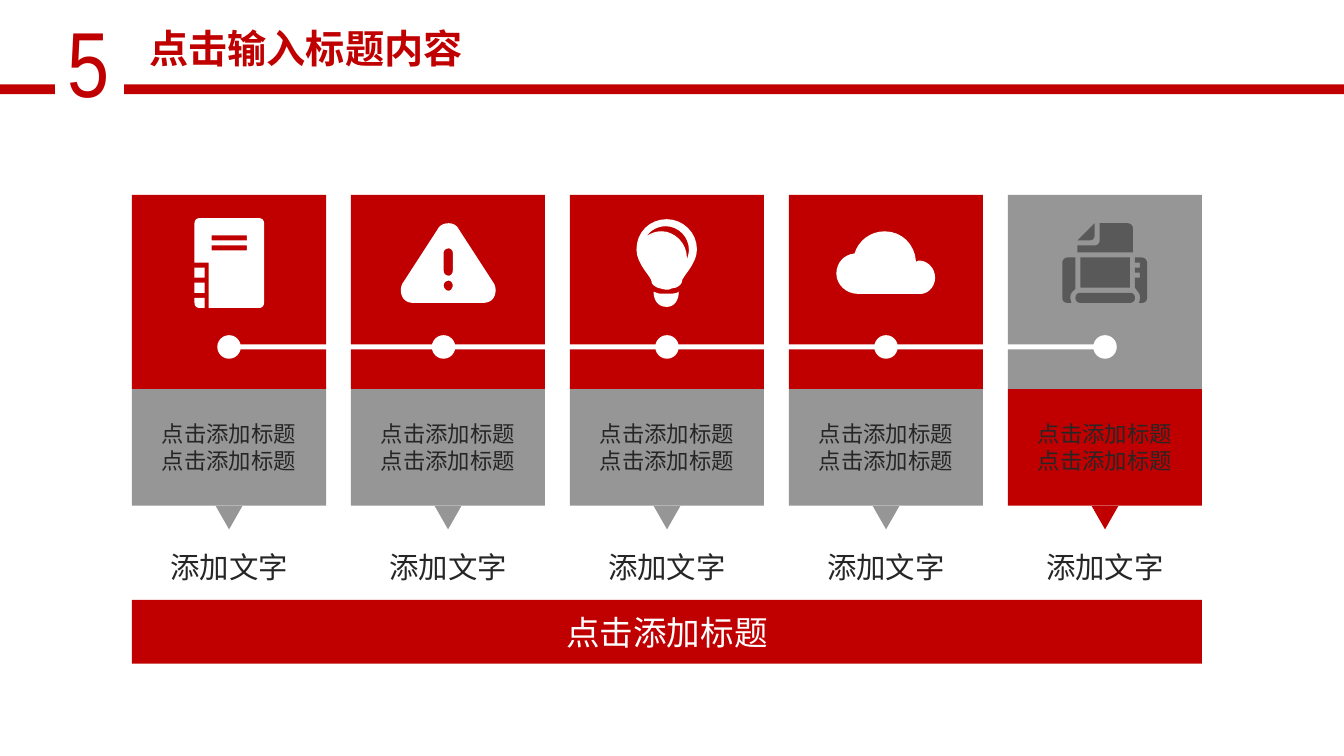
import pptx
import pptx.dml.color
import pptx.enum.shapes
import pptx.enum.text
import pptx.util

Pt = pptx.util.Pt
Shape = pptx.enum.shapes.MSO_SHAPE
Align = pptx.enum.text.PP_ALIGN
Anchor = pptx.enum.text.MSO_ANCHOR

RED = pptx.dml.color.RGBColor(0xC0, 0x00, 0x00)
GRAY = pptx.dml.color.RGBColor(0x96, 0x96, 0x96)
DARK_GRAY = pptx.dml.color.RGBColor(0x59, 0x59, 0x59)
INK = pptx.dml.color.RGBColor(0x26, 0x26, 0x26)
WHITE = pptx.dml.color.RGBColor(0xFF, 0xFF, 0xFF)
CHINESE_FONT = "Noto Sans CJK SC"

CARD_LEFT, CARD_TOP, CARD_SIZE, CARD_PITCH = 94.3, 139.3, 138.6, 156.42
CAPTION_HEIGHT = 83.4
CARD_COUNT = 5
DOT_SIZE = 16.8

# Icon outlines on a grid of 0.72 pt from the card corner. Contours are split
# by "|", steps by ","; two numbers make a line, six a Bezier curve.
GRID = 0.72
BOOK = (
    "67 23, 126 23, 129 23 131 25 131 28, 131 107, 131 110 129 112 126 112,"
    "76 112, 76 67, 62 67, 62 28, 62 25 64 23 67 23"
    "| 79 40, 114 40, 114 45, 79 45 | 79 50, 114 50, 114 55, 79 55"
    "| 62 72, 72 72, 72 82, 62 82 | 62 87, 72 87, 72 97, 62 97"
    "| 72 112, 67 112, 64 112 62 110 62 107, 62 102, 72 102")
ALERT = (
    "86 34, 88 30 92 28 97 28, 101 28 105 30 107 34, 142 88,"
    "144 92 144 97 142 101, 140 105 136 107 131 107, 62 107,"
    "57 107 53 105 51 101, 49 97 49 92 51 88"
    "| 97 95, 99 95 101 92 101 90, 101 87 99 85 97 85,"
    "94 85 92 87 92 90, 92 92 94 95 97 95"
    "| 92 75, 92 78 94 80 97 80, 99 80 101 78 101 75, 101 57,"
    "101 55 99 53 97 53, 94 53 92 55 92 57")
BULB = (
    "86 97, 88 98 91 98 95 98, 99 98 103 98 106 97, 108 96,"
    "108 104 104 111 96 111, 87 111 83 104 83 96"
    "| 96 24, 112 24 126 37 126 54, 126 69 111 81 111 86,"
    "111 88 109 90 105 92, 103 92 100 93 98 94, 96 94,"
    "94 94 91 93 87 92, 83 90 81 88 81 86, 81 81 66 69 66 54,"
    "66 37 79 24 96 24"
    "| 91 36, 104 36 116 48 116 62, 116 64, 117 61 118 58 118 54,"
    "118 42 108 31 95 31, 87 31 80 35 76 41, 80 38 85 36 91 36")
CLOUD = (
    "65 58, 69 45 81 36 95 36, 112 36 125 49 126 66,"
    "127 66 128 65 129 65, 138 65 145 73 145 82, 145 89 140 97 132 98,"
    "68 98, 57 98 47 89 47 78, 47 68 54 59 65 58")
PRINTER = (
    "59 62, 67 62, 67 93, 66 94 65 95 64 96, 62 98 61 101 63 107, 59 107,"
    "56 107 54 105 54 102, 54 67, 54 65 56 62 59 62"
    "| 72 97, 121 97, 124 97 126 99 126 102, 126 105 124 107 121 107,"
    "72 107, 69 107 67 105 67 102, 67 99 69 97 72 97"
    "| 126 92, 126 82, 131 82, 131 77, 126 77, 126 72, 131 72, 131 67,"
    "126 67, 126 62, 133 62, 136 62 138 65 138 67, 138 102,"
    "138 105 136 107 133 107, 130 107, 132 102 131 98 129 96,"
    "128 95 127 93 126 92"
    "| 81 45, 69 45, 86 28, 86 40, 86 43 84 45 81 45"
    "| 69 50, 86 50, 89 50 91 48 91 45, 91 28, 119 28,"
    "121 28 124 30 124 33, 124 57, 69 57"
    "| 72 62, 121 62, 121 92, 72 92")
ICONS = [BOOK, ALERT, BULB, CLOUD, PRINTER]


def paint(shape, color):
    shape.fill.solid()
    shape.fill.fore_color.rgb = color
    shape.line.fill.background()
    shape.shadow.inherit = False


def add_block(page, kind, left, top, width, height, color):
    block = page.shapes.add_shape(kind, Pt(left), Pt(top), Pt(width), Pt(height))
    paint(block, color)
    return block


def write(shape, text, size, color, font=CHINESE_FONT, align=Align.CENTER,
          anchor=Anchor.MIDDLE, bold=False):
    frame = shape.text_frame
    frame.text = text
    frame.vertical_anchor = anchor
    for para in frame.paragraphs:
        para.alignment = align
        for span in para.runs:
            span.font.size = Pt(size)
            span.font.name = font
            span.font.bold = bold
            span.font.color.rgb = color
            fonts = span.font._element
            east_asian = fonts.makeelement(pptx.oxml.ns.qn("a:ea"), {"typeface": font})
            fonts.append(east_asian)


def contour_points(contour, steps=8):
    """Flatten one contour's lines and curves into grid points."""
    points = []
    for part in contour.split(","):
        numbers = [float(number) for number in part.split()]
        pairs = list(zip(numbers[::2], numbers[1::2]))
        if len(pairs) == 1:
            points += pairs
            continue
        curve = [points[-1]] + pairs
        for step in range(1, steps + 1):
            t = step / steps
            weights = ((1 - t) ** 3, 3 * t * (1 - t) ** 2, 3 * t * t * (1 - t), t ** 3)
            points.append(tuple(sum(weight * point[axis] for weight, point in zip(weights, curve))
                                for axis in (0, 1)))
    return points


def add_icon(page, outline, left, top, color):
    builder = None
    for contour in outline.split("|"):
        points = [(Pt(left + x * GRID), Pt(top + y * GRID)) for x, y in contour_points(contour)]
        if builder is None:
            builder = page.shapes.build_freeform(*points[0], scale=1.0)
        else:
            builder.move_to(*points[0])
        builder.add_line_segments(points[1:], close=True)
    paint(builder.convert_to_shape(), color)


def add_header(page, left, top, width):
    for start, end in ((left, 39.3), (88.6, left + width)):
        add_block(page, Shape.RECTANGLE, start, top + 60.3, end - start, 7, RED)
    number = page.shapes.add_textbox(Pt(left + 41), Pt(top), Pt(48), Pt(87))
    write(number, "5", 66, RED, "Arial Narrow", Align.LEFT, Anchor.TOP)
    title = page.shapes.title
    title.left, title.top, title.width, title.height = Pt(left + 89.3), Pt(top + 13.7), Pt(258.5), Pt(41)
    frame = title.text_frame
    frame.margin_left = frame.margin_right = frame.margin_top = frame.margin_bottom = 0
    write(title, "点击输入标题内容", 28, RED, bold=True)


def add_card(page, left, top, outline, highlighted):
    head_color, caption_color = (GRAY, RED) if highlighted else (RED, GRAY)
    middle = left + CARD_SIZE / 2
    caption_top = top + CARD_SIZE
    caption_bottom = caption_top + CAPTION_HEIGHT
    add_block(page, Shape.RECTANGLE, left, top, CARD_SIZE, CARD_SIZE, head_color)
    caption = add_block(page, Shape.RECTANGLE, left, caption_top, CARD_SIZE, CAPTION_HEIGHT, caption_color)
    write(caption, "点击添加标题\n点击添加标题", 16, INK)
    add_icon(page, outline, left, top, DARK_GRAY if highlighted else WHITE)
    pointer = add_block(page, Shape.ISOSCELES_TRIANGLE, middle - 9.6, caption_bottom, 19.2, 16.8, caption_color)
    pointer.rotation = 180
    label = page.shapes.add_textbox(Pt(middle - 50), Pt(caption_bottom + 27.2), Pt(100), Pt(33))
    write(label, "添加文字", 21, INK)


def add_timeline(page, left, top, pitch):
    """Draw the line and its dots; left and top give the first dot's centre."""
    add_block(page, Shape.RECTANGLE, left, top - 1.8, pitch * (CARD_COUNT - 1), 3.6, WHITE)
    for index in range(CARD_COUNT):
        nudge = -3.2 if index == 1 else 0
        add_block(page, Shape.OVAL, left + index * pitch + nudge - DOT_SIZE / 2,
                  top - DOT_SIZE / 2, DOT_SIZE, DOT_SIZE, WHITE)


def main():
    deck = pptx.Presentation()
    deck.slide_width, deck.slide_height = Pt(960), Pt(540)
    page = deck.slides.add_slide(deck.slide_layouts[5])
    add_header(page, 0, 0, 960)
    for index, outline in enumerate(ICONS):
        add_card(page, CARD_LEFT + index * CARD_PITCH, CARD_TOP, outline, index == CARD_COUNT - 1)
    add_timeline(page, CARD_LEFT + CARD_SIZE / 2, CARD_TOP + 108.5, CARD_PITCH)
    banner_width = CARD_PITCH * (CARD_COUNT - 1) + CARD_SIZE
    banner = add_block(page, Shape.RECTANGLE, CARD_LEFT, 428.5, banner_width, 45.5, RED)
    write(banner, "点击添加标题", 24, WHITE)
    deck.save("out.pptx")


if __name__ == "__main__":
    main()
